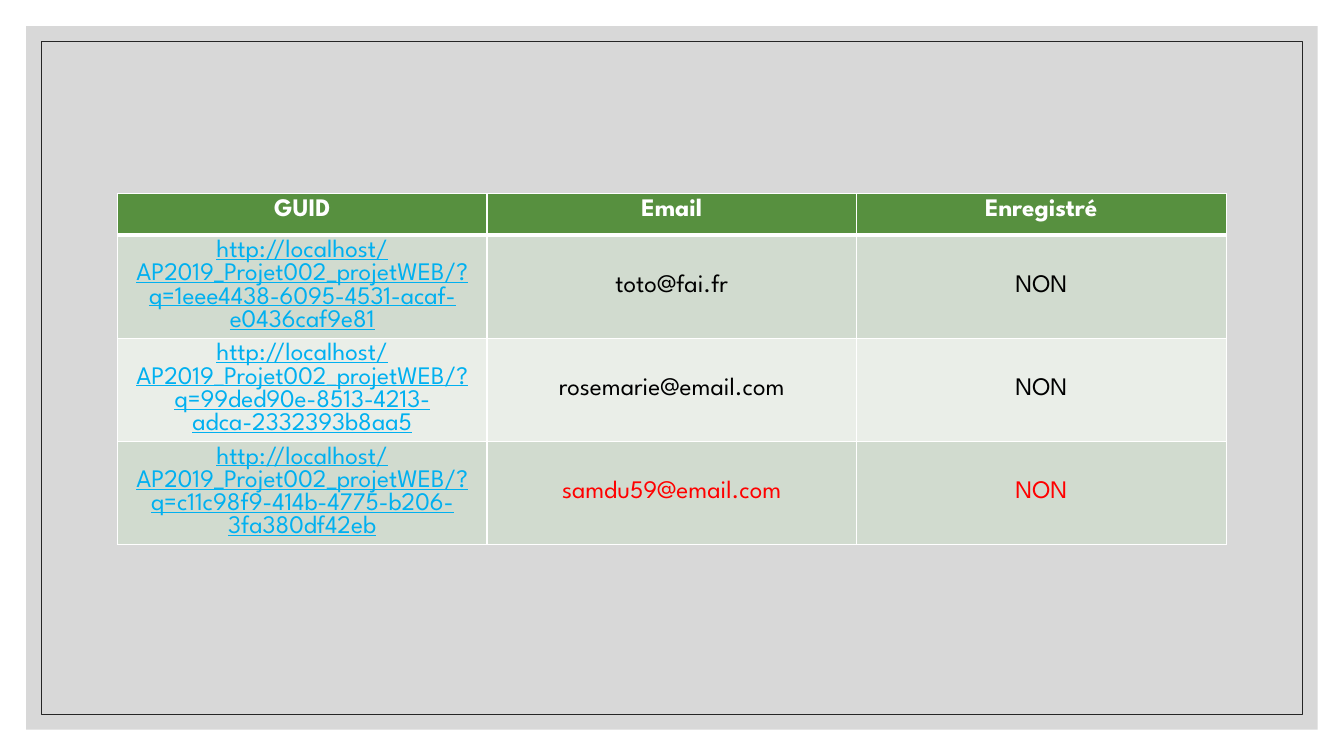
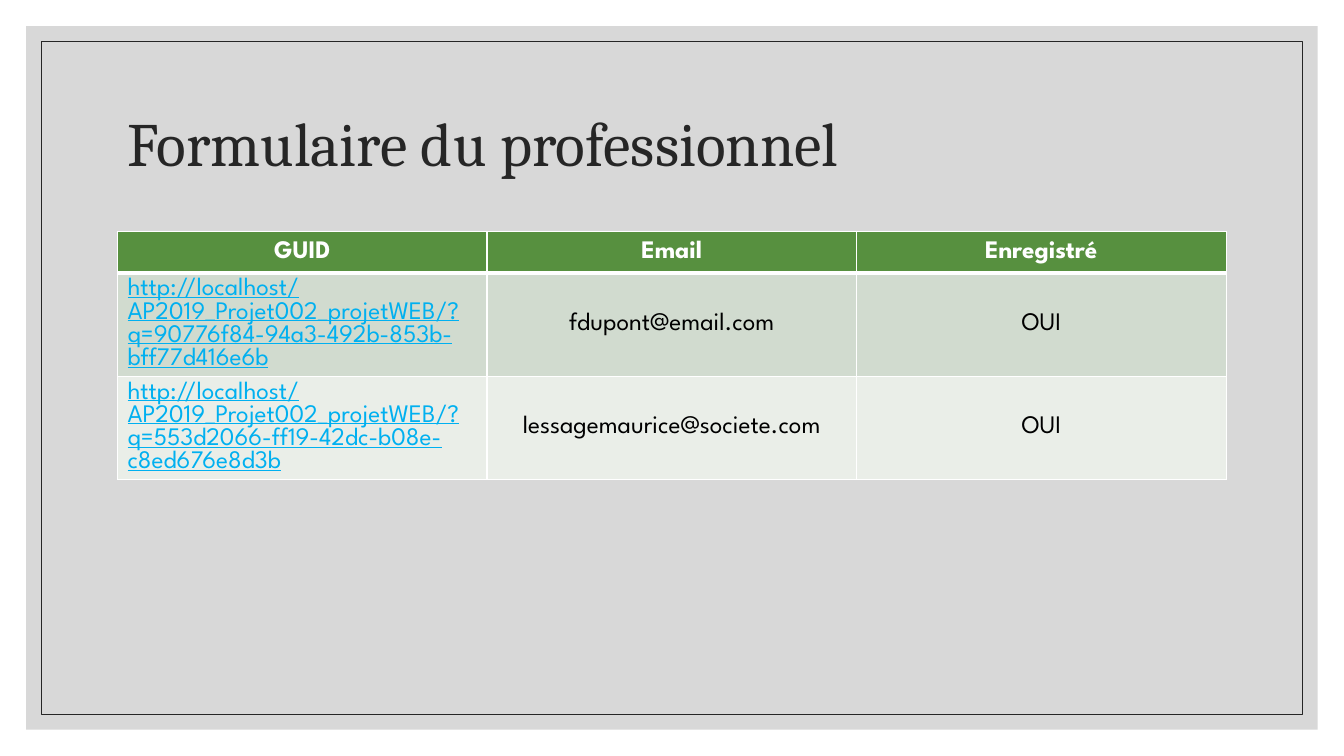
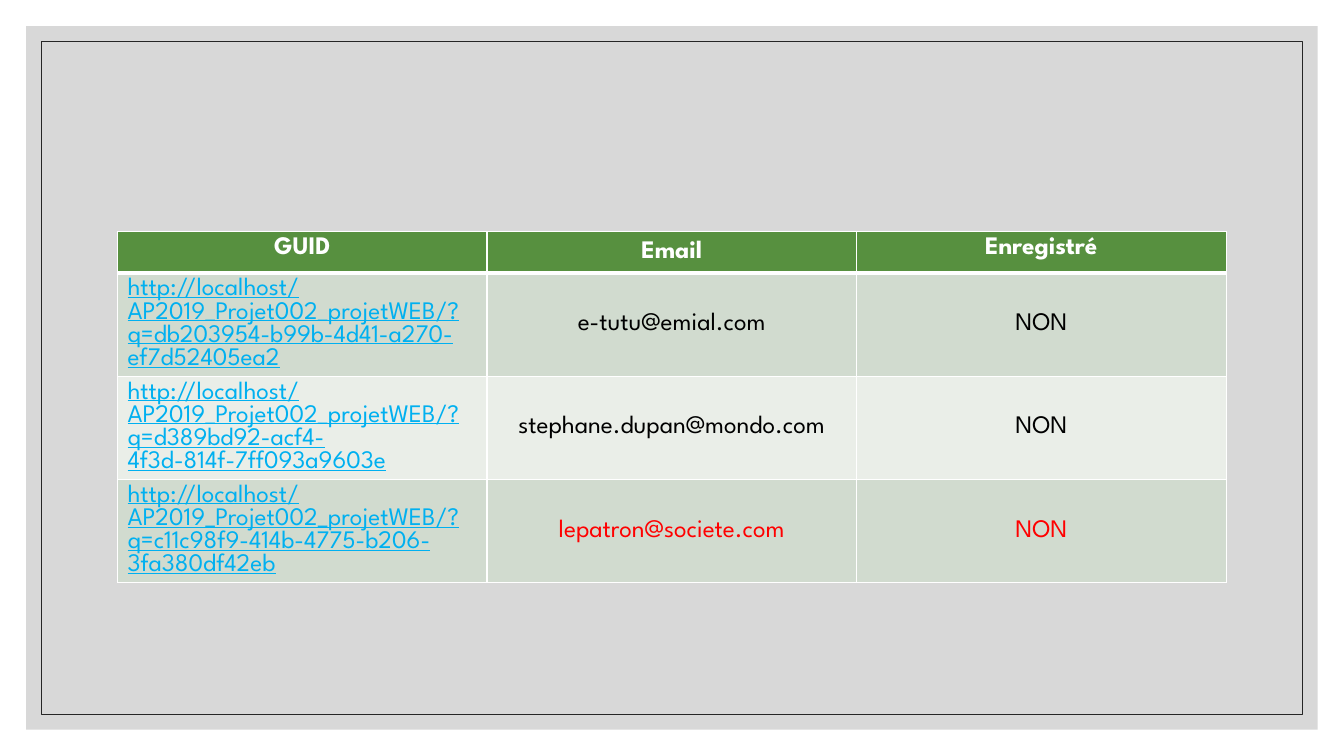
import pptx
import pptx.dml.color
import pptx.enum.shapes
import pptx.enum.text
import pptx.oxml
import pptx.oxml.ns
import pptx.util
from lxml import etree

Cm, Pt = pptx.util.Cm, pptx.util.Pt
RGBColor = pptx.dml.color.RGBColor
ALIGN = pptx.enum.text.PP_ALIGN
ANCHOR = pptx.enum.text.MSO_ANCHOR
qn = pptx.oxml.ns.qn

WHITE = RGBColor(0xFF, 0xFF, 0xFF)
BLACK = RGBColor(0, 0, 0)
RED = RGBColor(0xFF, 0, 0)
GREY = RGBColor(0xBF, 0xBF, 0xBF)
DARK = RGBColor(0x26, 0x26, 0x26)
GREEN = RGBColor(0x57, 0x90, 0x3F)
BANDS = (RGBColor(0xD1, 0xDB, 0xCF), RGBColor(0xEA, 0xEE, 0xE8))
LINK = RGBColor(0x00, 0xB0, 0xF0)

TITLE_FONT, BODY_FONT = "Cambria", "League Spartan"
SLIDE_W, SLIDE_H = Cm(33.87), Cm(19.05)
LEFT, WIDTH = Cm(2.96), Cm(27.94)
HEADER_H, ROW_H = Cm(1.04), Cm(2.6)
TITLE_ONLY, BLANK = 5, 6

HEADERS = ("GUID", "Email", "Enregistré")
URL = "http://localhost/AP2019_Projet002_projetWEB/?q="


def add_frame(s, margin):
    sp = s.shapes.add_shape(pptx.enum.shapes.MSO_SHAPE.RECTANGLE, margin, margin,
                            SLIDE_W - 2 * margin, SLIDE_H - 2 * margin)
    sp.shadow.inherit = False
    return sp


def decorate_master(prs, s):
    """Draw the grey panel and its thin outline, then move them to the master."""
    panel = add_frame(s, Cm(0.66))
    panel.fill.solid()
    panel.fill.fore_color.rgb = GREY
    color = panel.element.spPr.find(".//" + qn("a:srgbClr"))
    etree.SubElement(color, qn("a:alpha")).set("val", "60000")
    panel.line.fill.background()

    outline = add_frame(s, Cm(1.04))
    outline.fill.background()
    outline.line.color.rgb = DARK
    outline.line.width = Pt(0.5)

    for number, sp in enumerate((panel, outline), 101):
        sp.element.nvSpPr.cNvPr.set("id", str(number))
        prs.slide_master.shapes.element.append(sp.element)


def set_title(s, text):
    title = s.shapes.title
    title.left, title.top, title.width, title.height = LEFT, Cm(1.78), WIDTH, Cm(3.81)
    tf = title.text_frame
    tf.text = text
    tf.vertical_anchor = ANCHOR.MIDDLE
    p = tf.paragraphs[0]
    p.alignment = ALIGN.LEFT
    p.line_spacing = 0.9
    font = p.runs[0].font
    font.name, font.size, font.color.rgb = TITLE_FONT, Pt(44), DARK


def set_borders(cell, bottom):
    tcPr = cell._tc.get_or_add_tcPr()
    for side, width in (("L", 1), ("R", 1), ("T", 1), ("B", bottom)):
        ln = etree.SubElement(tcPr, qn("a:ln" + side), w=str(Pt(width)))
        fill = etree.SubElement(ln, qn("a:solidFill"))
        etree.SubElement(fill, qn("a:srgbClr"), val=str(WHITE))


def fill_cell(cell, text, fill, color, align=ALIGN.CENTER, anchor=ANCHOR.MIDDLE,
              header=False, link=False):
    cell.text = text
    cell.vertical_anchor = anchor
    set_borders(cell, 3 if header else 1)
    cell.fill.solid()
    cell.fill.fore_color.rgb = fill
    p = cell.text_frame.paragraphs[0]
    p.alignment = align
    font = p.runs[0].font
    font.name, font.size, font.color.rgb = BODY_FONT, Pt(18), color
    font.bold, font.underline = header, link


def add_register(s, top, rows, link_align=ALIGN.LEFT, header_anchors=(ANCHOR.MIDDLE,) * 3):
    """Add the table of invitations; rows hold guid, email, answer and text colour."""
    height = HEADER_H + ROW_H * len(rows)
    table = s.shapes.add_table(len(rows) + 1, len(HEADERS), LEFT, top, WIDTH, height).table
    for row in table.rows:
        row.height = ROW_H
    table.rows[0].height = HEADER_H

    for col, (text, anchor) in enumerate(zip(HEADERS, header_anchors)):
        fill_cell(table.cell(0, col), text, GREEN, WHITE, anchor=anchor, header=True)
    for i, (guid, email, answer, color) in enumerate(rows):
        band = BANDS[i % 2]
        fill_cell(table.cell(i + 1, 0), URL + guid, band, LINK, link_align, link=True)
        fill_cell(table.cell(i + 1, 1), email, band, color)
        fill_cell(table.cell(i + 1, 2), answer, band, color)


def main():
    prs = pptx.Presentation()
    prs.slide_width, prs.slide_height = SLIDE_W, SLIDE_H

    s = prs.slides.add_slide(prs.slide_layouts[BLANK])
    decorate_master(prs, s)
    add_register(s, Cm(4.88), (
        ("1eee4438-6095-4531-acaf-e0436caf9e81", "toto@fai.fr", "NON", BLACK),
        ("99ded90e-8513-4213-adca-2332393b8aa5", "rosemarie@email.com", "NON", BLACK),
        ("c11c98f9-414b-4775-b206-3fa380df42eb", "samdu59@email.com", "NON", RED),
    ), ALIGN.CENTER, (ANCHOR.TOP,) * 3)

    s = prs.slides.add_slide(prs.slide_layouts[TITLE_ONLY])
    set_title(s, "Formulaire du professionnel")
    add_register(s, Cm(5.84), (
        ("90776f84-94a3-492b-853b-bff77d416e6b", "fdupont@email.com", "OUI", BLACK),
        ("553d2066-ff19-42dc-b08e-c8ed676e8d3b", "lessagemaurice@societe.com", "OUI", BLACK),
    ))

    s = prs.slides.add_slide(prs.slide_layouts[BLANK])
    add_register(s, Cm(5.84), (
        ("db203954-b99b-4d41-a270-ef7d52405ea2", "e-tutu@emial.com", "NON", BLACK),
        ("d389bd92-acf4-4f3d-814f-7ff093a9603e", "stephane.dupan@mondo.com", "NON", BLACK),
        ("c11c98f9-414b-4775-b206-3fa380df42eb", "lepatron@societe.com", "NON", RED),
    ), header_anchors=(ANCHOR.TOP, ANCHOR.MIDDLE, ANCHOR.TOP))

    prs.save("out.pptx")


if __name__ == "__main__":
    main()
